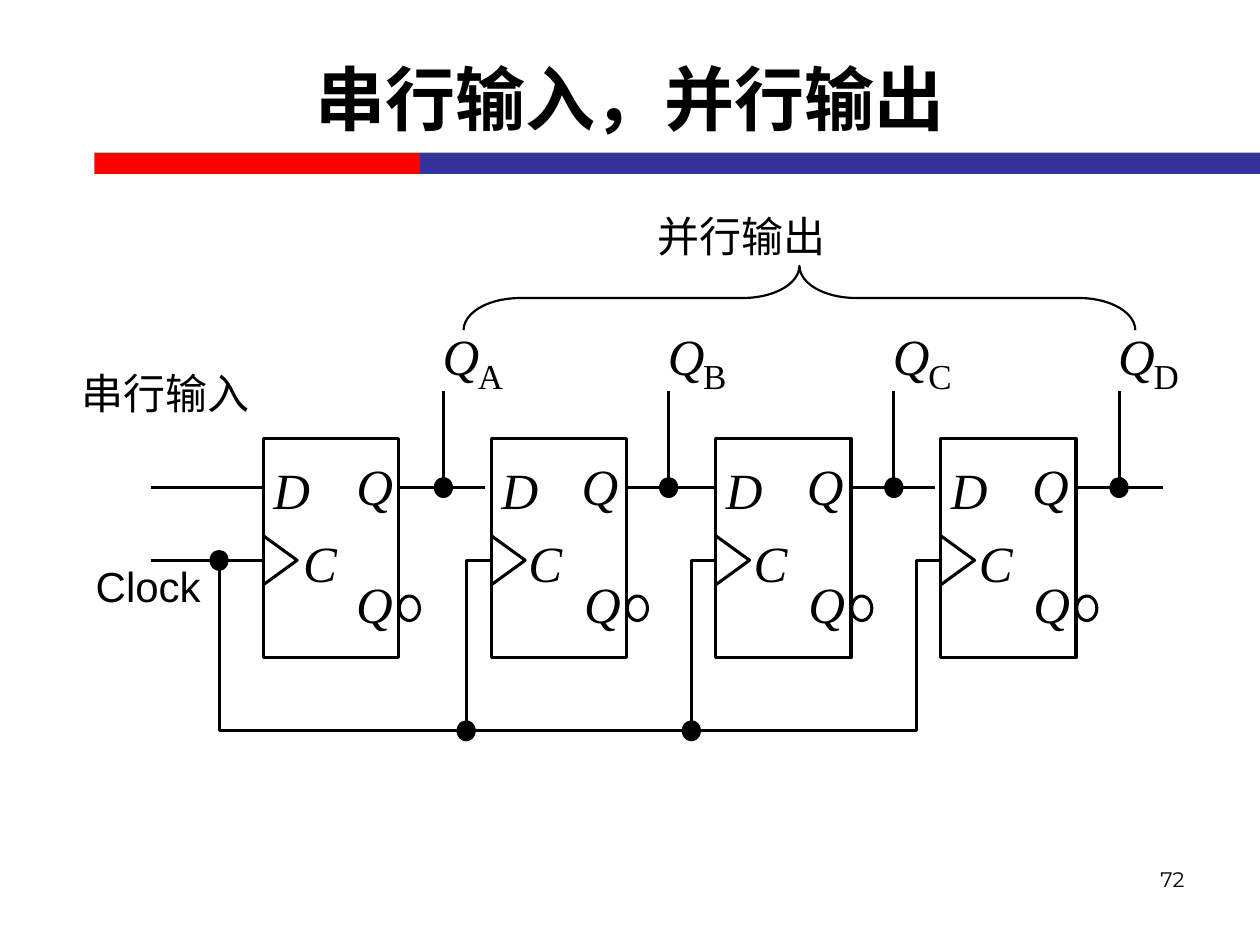
from lxml.etree import SubElement
from pptx import Presentation
from pptx.dml.color import RGBColor
from pptx.enum.shapes import MSO_CONNECTOR, MSO_SHAPE
from pptx.enum.text import MSO_ANCHOR, MSO_AUTO_SIZE, PP_ALIGN
from pptx.oxml.ns import qn
from pptx.util import Pt

BLACK, WHITE, RED, BLUE = "000000", "FFFFFF", "FF0000", "333399"
CJK = "Noto Sans CJK SC"
SYMBOL = {"name": "Times New Roman", "size": Pt(29), "italic": True}
SUBSCRIPT = {"name": "Times New Roman", "size": Pt(20)}
LABEL = {"name": CJK, "size": Pt(24)}
CLOCK_LABEL = {"name": "Arial", "size": Pt(24)}
TITLE = {"name": "Arial", "size": Pt(40), "bold": True}
PAGE_NUMBER = {"name": "Montserrat", "size": Pt(12)}

# Circuit geometry in points
STAGE_LEFTS = (150.5, 280.8, 409, 537.6)
WIRE_ENDS = (277.2, 409, 534.2, 664.6)
FIRST_TAP, TAP_PITCH = 253.4, 128.7
STAGE_WIDTH = 77.3
DATA_Y, CLOCK_Y, BUS_Y = 278.6, 320.2, 417.6
CLOCK_IN_X = 125.2


def color(hex_value):
    return RGBColor.from_string(hex_value)


def style_shape(shape, fill=None, line=None, weight=1.75):
    shape.shadow.inherit = False
    if fill:
        shape.fill.solid()
        shape.fill.fore_color.rgb = color(fill)
    else:
        shape.fill.background()
    if line:
        shape.line.color.rgb = color(line)
        shape.line.width = Pt(weight)
    else:
        shape.line.fill.background()
    return shape


def add_preset(page, kind, left, top, width, height, **style):
    shape = page.shapes.add_shape(kind, Pt(left), Pt(top), Pt(width), Pt(height))
    return style_shape(shape, **style)


def add_dot(page, x, y):
    add_preset(page, MSO_SHAPE.OVAL, x - 5.5, y - 6, 11, 12, fill=BLACK)


def add_wire(page, x1, y1, x2, y2):
    wire = page.shapes.add_connector(
        MSO_CONNECTOR.STRAIGHT, Pt(x1), Pt(y1), Pt(x2), Pt(y2))
    wire.line.color.rgb = color(BLACK)
    wire.line.width = Pt(1.75)
    SubElement(wire._element.spPr, qn("a:effectLst"))


def add_path(page, points):
    (x, y), *rest = [(Pt(x), Pt(y)) for x, y in points]
    builder = page.shapes.build_freeform(x, y)
    builder.add_line_segments(rest, close=False)
    style_shape(builder.convert_to_shape(), line=BLACK)


def add_text(page, text, left, top, width, height, font_format,
             align=PP_ALIGN.LEFT):
    box = page.shapes.add_textbox(Pt(left), Pt(top), Pt(width), Pt(height))
    para = box.text_frame.paragraphs[0]
    para.alignment = align
    span = para.add_run()
    span.text = text
    for name, value in font_format.items():
        setattr(span.font, name, value)
    span.font.color.rgb = color(BLACK)
    SubElement(span.font._element, qn("a:ea"), typeface=CJK)
    box.text_frame.word_wrap = True
    return box.text_frame


def add_label(page, text, left, top, width, height, font_format):
    frame = add_text(page, text, left, top, width, height, font_format)
    settings = {"margin_left": 0, "margin_right": 0, "margin_top": 0,
                "margin_bottom": 0, "word_wrap": False,
                "auto_size": MSO_AUTO_SIZE.SHAPE_TO_FIT_TEXT}
    for name, value in settings.items():
        setattr(frame, name, value)


def add_symbol(page, letter, left, top):
    add_label(page, letter, left, top, 30, 40.3, SYMBOL)


def add_flip_flop(page, left, tap):
    right = left + STAGE_WIDTH
    add_preset(page, MSO_SHAPE.RECTANGLE, left, 250.6, STAGE_WIDTH, 125.3,
               line=BLACK)
    add_symbol(page, "D", left + 5.8, 262.1)
    add_symbol(page, "Q", tap - 49.7, 259.9)
    add_symbol(page, "Q", left + 53, 327.6)
    add_symbol(page, "C", tap - 80.1, 303.8)
    # Inverting bubble and clock edge marker
    add_preset(page, MSO_SHAPE.OVAL, right + 0.4, 340.6, 11.5, 14,
               fill=WHITE, line=BLACK)
    add_path(page, [(left, CLOCK_Y + 14), (left + 19.3, CLOCK_Y),
                    (left, CLOCK_Y - 14)])


def add_output(page, letter, left, tap, wire_end):
    add_wire(page, left + STAGE_WIDTH, DATA_Y, wire_end, DATA_Y)
    add_wire(page, tap, DATA_Y, tap, 223.2)
    add_dot(page, tap, DATA_Y)
    add_symbol(page, "Q", tap - 0.5, 185.8)
    add_label(page, letter, tap + 19.7, 202.3, 20, 26, SUBSCRIPT)


def add_clock_lines(page, taps):
    first, *others = STAGE_LEFTS
    add_wire(page, 86.4, DATA_Y, first, DATA_Y)
    add_wire(page, 86.4, CLOCK_Y, first, CLOCK_Y)
    branches = [tap + 13 for tap in taps[:3]]
    add_path(page, [(CLOCK_IN_X, CLOCK_Y), (CLOCK_IN_X, BUS_Y),
                    (branches[-1], BUS_Y), (branches[-1], CLOCK_Y),
                    (others[-1], CLOCK_Y)])
    add_dot(page, CLOCK_IN_X, CLOCK_Y)
    for x, left in zip(branches[:2], others):
        add_path(page, [(x, BUS_Y), (x, CLOCK_Y), (left, CLOCK_Y)])
        add_dot(page, x, BUS_Y)


def add_output_brace(page):
    length, depth, center_x, center_y = 383.8, 36.7, 456.8, 170.3
    brace = add_preset(page, MSO_SHAPE.LEFT_BRACE, center_x - depth / 2,
                       center_y - length / 2, depth, length,
                       line=BLACK, weight=1.25)
    brace.adjustments[0] = 0.88
    brace.rotation = 90


def main():
    deck = Presentation()
    deck.slide_width, deck.slide_height = Pt(720), Pt(540)
    page = deck.slides.add_slide(deck.slide_layouts[6])

    # Header bar, page number and title
    for left, width, fill in ((54, 186, RED), (240, 480, BLUE)):
        add_preset(page, MSO_SHAPE.RECTANGLE, left, 87.2, width, 12.2, fill=fill)
    add_text(page, "72", 516.2, 491.8, 167.8, 37.4, PAGE_NUMBER, PP_ALIGN.RIGHT)
    title = add_text(page, "串行输入，并行输出", 36, 10.8, 648, 90, TITLE,
                     PP_ALIGN.CENTER)
    title.vertical_anchor = MSO_ANCHOR.MIDDLE

    # Register stages and their outputs
    taps = [FIRST_TAP + TAP_PITCH * i for i in range(4)]
    for letter, left, tap, end in zip("ABCD", STAGE_LEFTS, taps, WIRE_ENDS):
        add_flip_flop(page, left, tap)
        add_output(page, letter, left, tap, end)
    add_clock_lines(page, taps)

    # Captions
    add_output_brace(page)
    add_label(page, "并行输出", 375.8, 120.2, 97.2, 28.8, LABEL)
    add_label(page, "串行输入", 46.8, 210.2, 100, 28.8, LABEL)
    add_label(page, "Clock", 54.7, 320.4, 60.5, 28.8, CLOCK_LABEL)

    deck.save("out.pptx")


if __name__ == "__main__":
    main()
